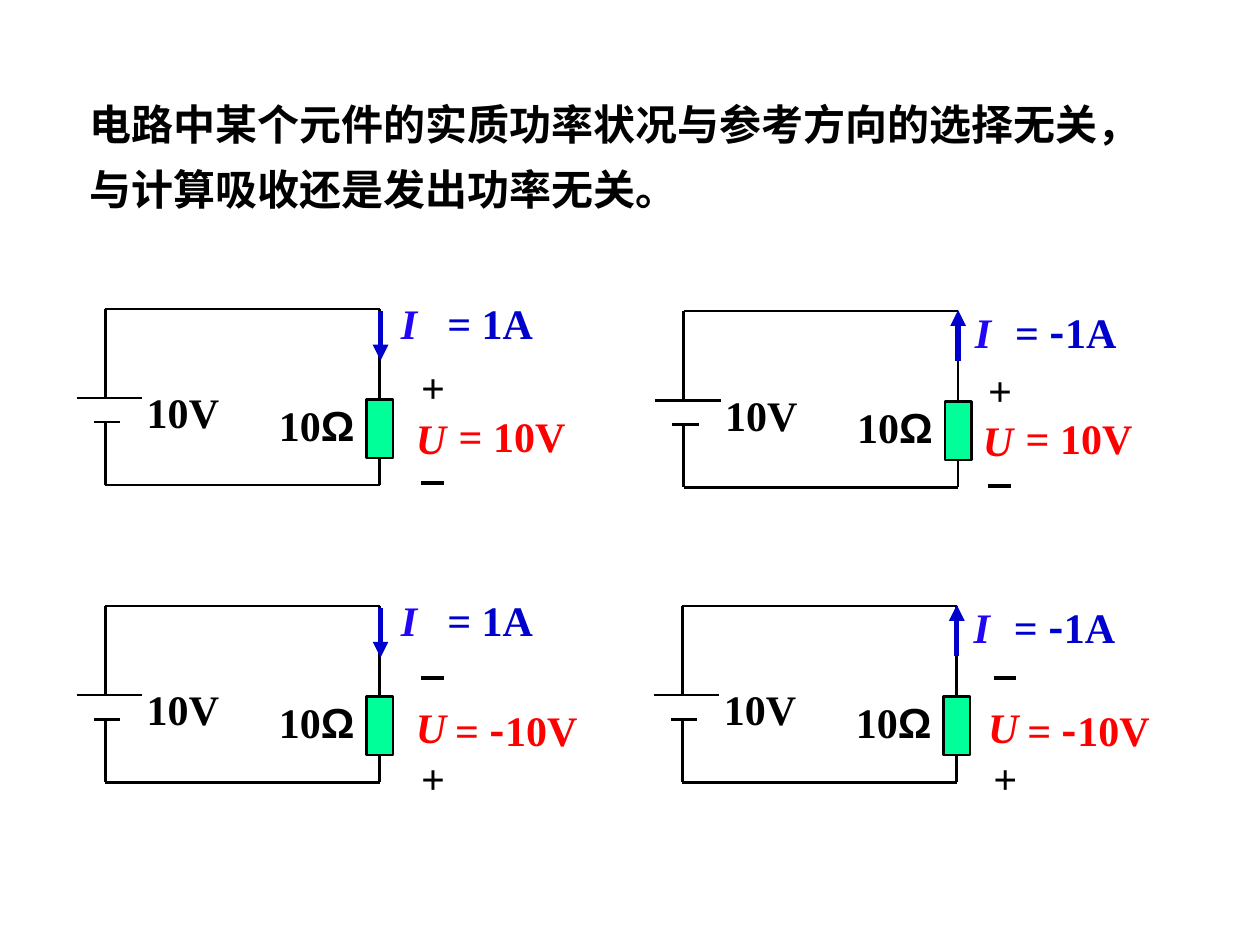
from pptx import Presentation
from pptx.dml.color import RGBColor
from pptx.enum.shapes import MSO_CONNECTOR, MSO_SHAPE
from pptx.enum.text import MSO_ANCHOR, PP_ALIGN
from pptx.oxml.ns import qn
from pptx.util import Pt
from lxml.etree import SubElement

BLACK = RGBColor(0x00, 0x00, 0x00)
BLUE = RGBColor(0x00, 0x00, 0xCC)
VIOLET = RGBColor(0x23, 0x06, 0xF6)
RED = RGBColor(0xFF, 0x00, 0x00)
GREEN = RGBColor(0x00, 0xFF, 0x99)
SERIF, SANS, CJK = "Times New Roman", "Arial", "Noto Sans CJK SC"
LABEL_HEIGHT = 36


def add_line(slide, x1, y1, x2, y2, color=BLACK, width=1.5, arrow=False):
    """Draw a straight line, with an arrowhead at its end on request."""
    line = slide.shapes.add_connector(
        MSO_CONNECTOR.STRAIGHT, Pt(x1), Pt(y1), Pt(x2), Pt(y2))
    line.line.color.rgb = color
    line.line.width = Pt(width)
    if arrow:
        SubElement(line.line._get_or_add_ln(), qn("a:tailEnd"), type="triangle")
    SubElement(line._element.spPr, qn("a:effectLst"))


def add_label(slide, x, y, width, runs, color=BLACK, italic=False,
              height=LABEL_HEIGHT, anchor=MSO_ANCHOR.MIDDLE):
    """Write one bold paragraph from (text, font) runs and return it."""
    box = slide.shapes.add_textbox(Pt(x), Pt(y), Pt(width), Pt(height))
    frame = box.text_frame
    frame.word_wrap = True
    frame.vertical_anchor = anchor
    paragraph = frame.paragraphs[0]
    for text, font in runs:
        run = paragraph.add_run()
        run.text = text
        run.font.name = font
        run.font.size = Pt(24)
        run.font.bold = True
        run.font.italic = italic
        run.font.color.rgb = color
        SubElement(run.font._element, qn("a:ea"), typeface=CJK)
    return paragraph


def value_runs(amount, negative):
    """Return the runs of an equation's right-hand side."""
    if negative:
        return [("= ", SERIF), ("-", CJK), (amount, SERIF)]
    return [("= " + amount, SERIF)]


def add_statement(slide, x, y, width, height):
    """Write the statement above the circuits."""
    statement = add_label(
        slide, x, y, width,
        [("电路中某个元件的实质功率状况与参考方向的选择无关，与计算吸收还是发出功率无关。", SERIF)],
        height=height, anchor=MSO_ANCHOR.TOP)
    statement.line_spacing = 1.3


def add_loop(slide, x, y, width, height):
    """Draw the wires, the battery and the resistor."""
    right, bottom = x + width, y + height
    long_plate, short_plate = y + 51, y + 64.75
    add_line(slide, x, y, right, y)
    add_line(slide, x, bottom, right, bottom)
    add_line(slide, right, y, right, bottom)
    add_line(slide, x, y, x, long_plate)
    add_line(slide, x, short_plate, x, bottom)
    add_line(slide, x - 16.5, long_plate, x + 21, long_plate)
    add_line(slide, x - 6.5, short_plate, x + 8.5, short_plate)
    resistor = slide.shapes.add_shape(
        MSO_SHAPE.RECTANGLE, Pt(right - 7.5), Pt(y + 51.75), Pt(15), Pt(33.5))
    resistor.shadow.inherit = False
    resistor.fill.solid()
    resistor.fill.fore_color.rgb = GREEN
    resistor.line.color.rgb = BLACK
    resistor.line.width = Pt(1.5)
    add_label(slide, x + 16.5, y + 41, 62.5, [("10V", SERIF)])
    add_label(slide, x + 92, y + 48.25, 68.5, [("10", SERIF), ("Ω", SANS)])


def add_current(slide, x, y, negative):
    """Draw the reference arrow from the loop's corner and give its current."""
    if negative:
        symbol_x, value_x, label_y = x + 2.5, x + 25.5, y - 6.25
        add_line(slide, x, y + 28.5, x, y - 0.5, BLUE, 3, arrow=True)
    else:
        symbol_x, value_x, label_y = x + 5, x + 31.5, y - 10
        add_line(slide, x + 0.5, y + 1.25, x + 0.5, y + 29.5, BLUE, 3, arrow=True)
    add_label(slide, symbol_x, label_y, 32, [("I", SERIF)], VIOLET, italic=True)
    add_label(slide, value_x, label_y, 80, value_runs("1A", negative), BLUE)


def add_voltage(slide, x, y, negative):
    """Place the voltage and its polarity signs around the symbol's box."""
    if negative:
        plus_y, minus_y, value_x, value_y = y + 29, y - 10, x + 22.5, y + 2
    else:
        plus_y, minus_y, value_x, value_y = y - 29, y + 44, x + 24.5, y - 1.5
    plus = add_label(slide, x + 3, plus_y, 28, [("+", SERIF)])
    plus.alignment = PP_ALIGN.CENTER
    add_line(slide, x + 10.25, minus_y, x + 23.25, minus_y, width=2.25)
    add_label(slide, x, y, 39.5, [("U", SERIF)], RED, italic=True)
    add_label(slide, value_x, value_y, 91, value_runs("10V", negative), RED)


def add_circuit(slide, x, y, width, height, reverse_current, reverse_voltage, voltage_gap):
    """Build one circuit with its chosen reference directions."""
    add_loop(slide, x, y, width, height)
    add_current(slide, x + width, y, reverse_current)
    voltage_y = y + (51 if reverse_voltage else 55.75)
    add_voltage(slide, x + width + voltage_gap, voltage_y, reverse_voltage)


def main():
    """Build and save the slide."""
    presentation = Presentation()
    presentation.slide_width, presentation.slide_height = Pt(720), Pt(540)
    slide = presentation.slides.add_slide(presentation.slide_layouts[6])
    add_statement(slide, 44, 44, 634.5, 82)
    circuits = [
        (60.25, 176.5, False, False, 13.5),
        (390.75, 177.75, True, False, 7),
        (60.25, 346.25, False, True, 13.5),
        (390, 346.25, True, True, 10.75),
    ]
    for x, y, reverse_current, reverse_voltage, voltage_gap in circuits:
        add_circuit(slide, x, y, 156.75, 100.75,
                    reverse_current, reverse_voltage, voltage_gap)
    presentation.save("out.pptx")


if __name__ == "__main__":
    main()
